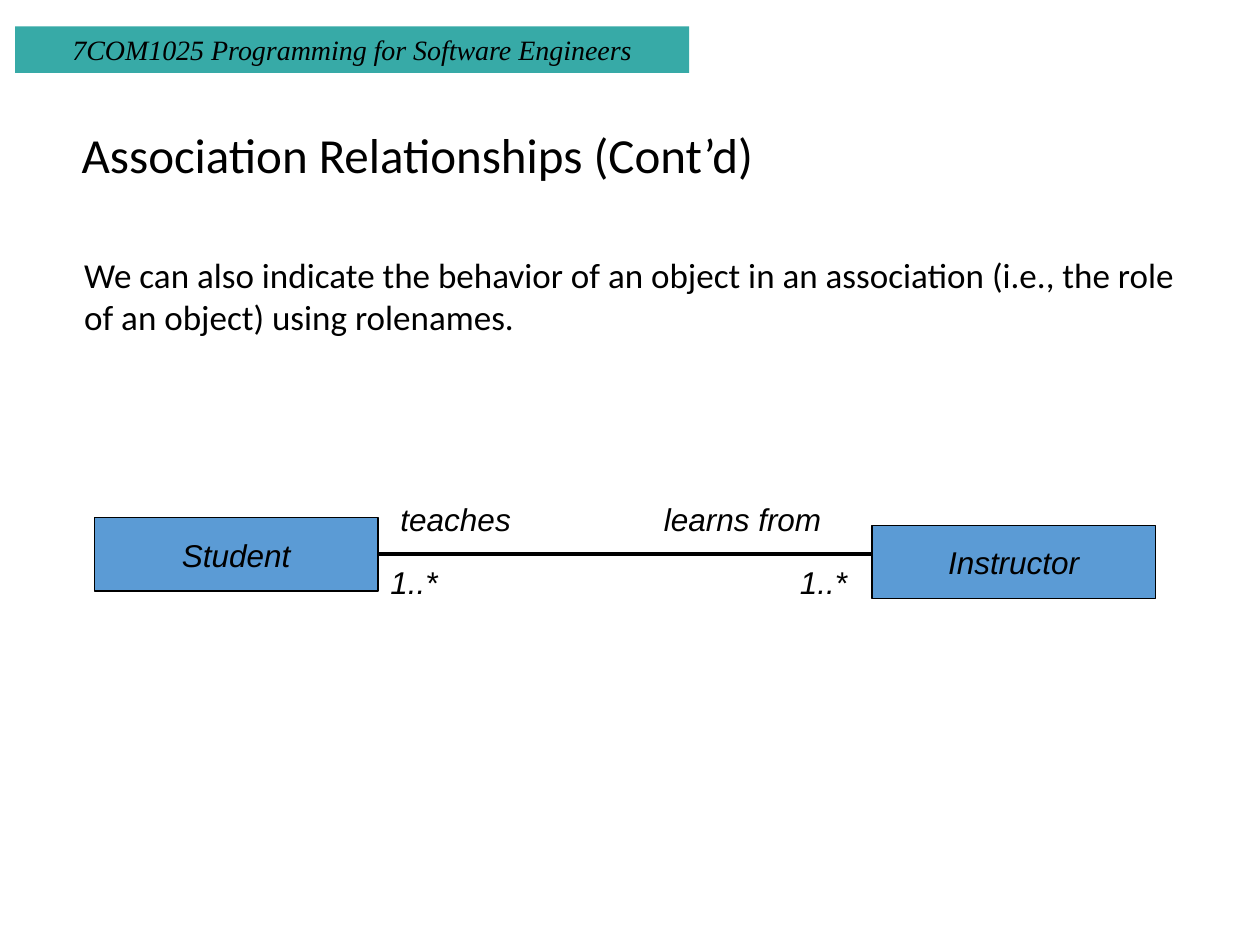
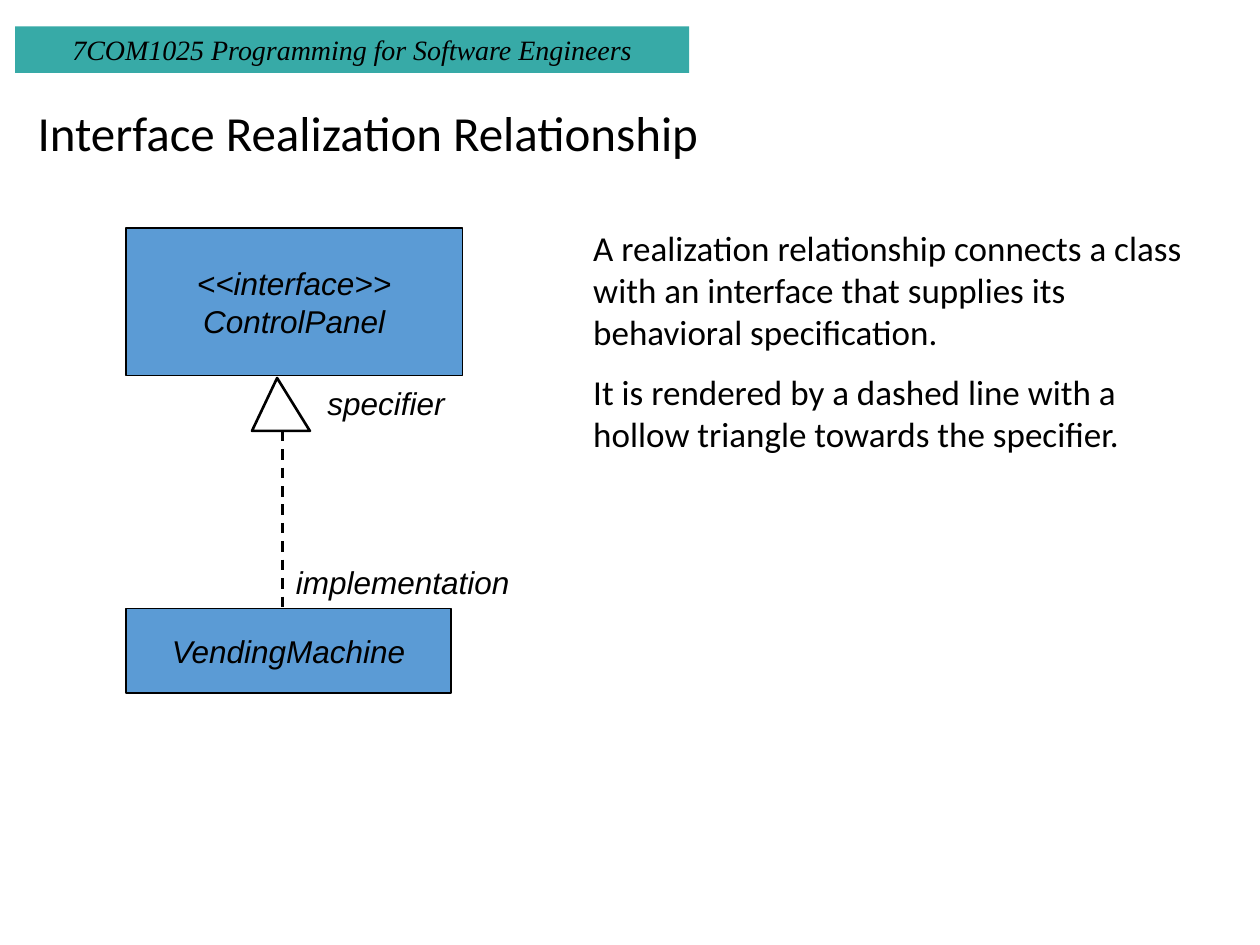
from lxml import etree
from pptx import Presentation
from pptx.dml.color import RGBColor
from pptx.enum.dml import MSO_LINE
from pptx.enum.shapes import MSO_CONNECTOR, MSO_SHAPE
from pptx.enum.text import MSO_ANCHOR, PP_ALIGN
from pptx.oxml.ns import qn
from pptx.util import Inches, Pt

RECTANGLE = MSO_SHAPE.RECTANGLE
STRAIGHT = MSO_CONNECTOR.STRAIGHT
DASH = MSO_LINE.DASH
TOP, MIDDLE = MSO_ANCHOR.TOP, MSO_ANCHOR.MIDDLE
LEFT, CENTER = PP_ALIGN.LEFT, PP_ALIGN.CENTER
RIGHT_SIDE = 3
BLANK_LAYOUT = 6


def color(value):
    return RGBColor.from_string(value)


class ClassDiagramDeck:
    """Holds the lecture style and the slide being drawn."""

    ink, paper = "000000", "FFFFFF"
    band_fill, class_fill = "37AAA7", "5B9BD5"
    course = "7COM1025 Programming for Software Engineers"
    prose_font, diagram_font, band_font = "Calibri", "Arial", "Times New Roman"

    def __init__(self):
        self.deck = Presentation()
        self.deck.slide_width = Inches(10)
        self.deck.slide_height = Inches(7.5)
        self.page = None

    def add_page(self, title, left, top, width):
        layout = self.deck.slide_layouts[BLANK_LAYOUT]
        self.page = self.deck.slides.add_slide(layout)
        band = self.rectangle(0.12, 0.21, 5.35, 0.37, self.band_fill)
        self.add_text(band, [self.course], self.band_font, 16, True, CENTER, MIDDLE)
        box = self.text_box(left, top, width, 0.58)
        self.add_text(box, [title], self.prose_font, 28, anchor=MIDDLE)
        box.text_frame.paragraphs[0].line_spacing = 0.9

    def add_text(self, shape, lines, font, size, italic=False,
                 align=LEFT, anchor=TOP, gap=0):
        frame = shape.text_frame
        frame.word_wrap = True
        frame.vertical_anchor = anchor
        for index, line in enumerate(lines):
            para = frame.add_paragraph() if index else frame.paragraphs[0]
            para.alignment = align
            if index:
                para.space_before = Pt(gap)
            span = para.add_run()
            span.text = line
            span.font.name = font
            span.font.size = Pt(size)
            span.font.italic = italic
            span.font.color.rgb = color(self.ink)

    def text_box(self, left, top, width, height):
        return self.page.shapes.add_textbox(
            Inches(left), Inches(top), Inches(width), Inches(height))

    def rectangle(self, left, top, width, height, fill):
        box = self.page.shapes.add_shape(
            RECTANGLE, Inches(left), Inches(top), Inches(width), Inches(height))
        box.shadow.inherit = False
        box.fill.solid()
        box.fill.fore_color.rgb = color(fill)
        box.line.fill.background()
        return box

    def stroke(self, shape, width):
        shape.line.color.rgb = color(self.ink)
        shape.line.width = Pt(width)

    def prose(self, left, top, width, height, *lines):
        box = self.text_box(left, top, width, height)
        self.add_text(box, lines, self.prose_font, 20, gap=10)

    def label(self, text, left, top, width, height=0.5):
        box = self.text_box(left, top, width, height)
        self.add_text(box, [text], self.diagram_font, 18, True)

    def class_box(self, left, top, width, height, *lines):
        box = self.rectangle(left, top, width, height, self.class_fill)
        self.stroke(box, 0.75)
        self.add_text(box, lines, self.diagram_font, 18, True, CENTER, MIDDLE)
        box.text_frame.word_wrap = False
        return box

    def connector(self, start, end, width):
        line = self.page.shapes.add_connector(
            STRAIGHT, *map(Inches, start), *map(Inches, end))
        self.stroke(line, width)
        etree.SubElement(line.element.spPr, qn("a:effectLst"))
        return line

    def triangle(self, *corners):
        points = [(Inches(x), Inches(y)) for x, y in corners]
        builder = self.page.shapes.build_freeform(*points[0])
        builder.add_line_segments(points[1:], close=True)
        head = builder.convert_to_shape()
        head.shadow.inherit = False
        head.fill.solid()
        head.fill.fore_color.rgb = color(self.paper)
        self.stroke(head, 1.5)


def association_page(style):
    style.add_page("Association Relationships (Cont’d)", 0.55, 0.96, 9)
    style.prose(0.57, 1.96, 8.87, 0.77,
                "We can also indicate the behavior of an object in an association "
                "(i.e., the role of an object) using rolenames.")
    student = style.class_box(0.75, 4.11, 2.25, 0.58, "Student")
    association = style.connector((3, 4.4), (7, 4.4), 2.25)
    association.begin_connect(student, RIGHT_SIDE)
    style.class_box(6.92, 4.17, 2.25, 0.58, "Instructor")
    for left in (3, 6.25):
        style.label("1..*", left, 4.42, 0.75)
    style.label("teaches", 3.08, 3.92, 1.25)
    style.label("learns from", 5.17, 3.92, 1.75)


def realization_page(style):
    style.add_page("Interface Realization Relationship", 0.2, 0.79, 8.83)
    style.class_box(1, 1.81, 2.67, 1.17, "<<interface>>", "ControlPanel")
    style.class_box(1, 4.83, 2.58, 0.67, "VendingMachine")
    realization = style.connector((2.24, 3.42), (2.24, 4.83), 1.5)
    realization.line.dash_style = DASH
    style.triangle((2.2, 3), (2, 3.42), (2.46, 3.42))
    style.prose(4.61, 1.75, 4.98, 1.95,
                "A realization relationship connects a class with an interface "
                "that supplies its behavioral specification.",
                "It is rendered by a dashed line with a hollow triangle "
                "towards the specifier.")
    style.label("specifier", 2.5, 3, 1.4, 0.4)
    style.label("implementation", 2.25, 4.42, 2.2, 0.4)


def main():
    style = ClassDiagramDeck()
    association_page(style)
    realization_page(style)
    style.deck.save("out.pptx")


if __name__ == "__main__":
    main()
